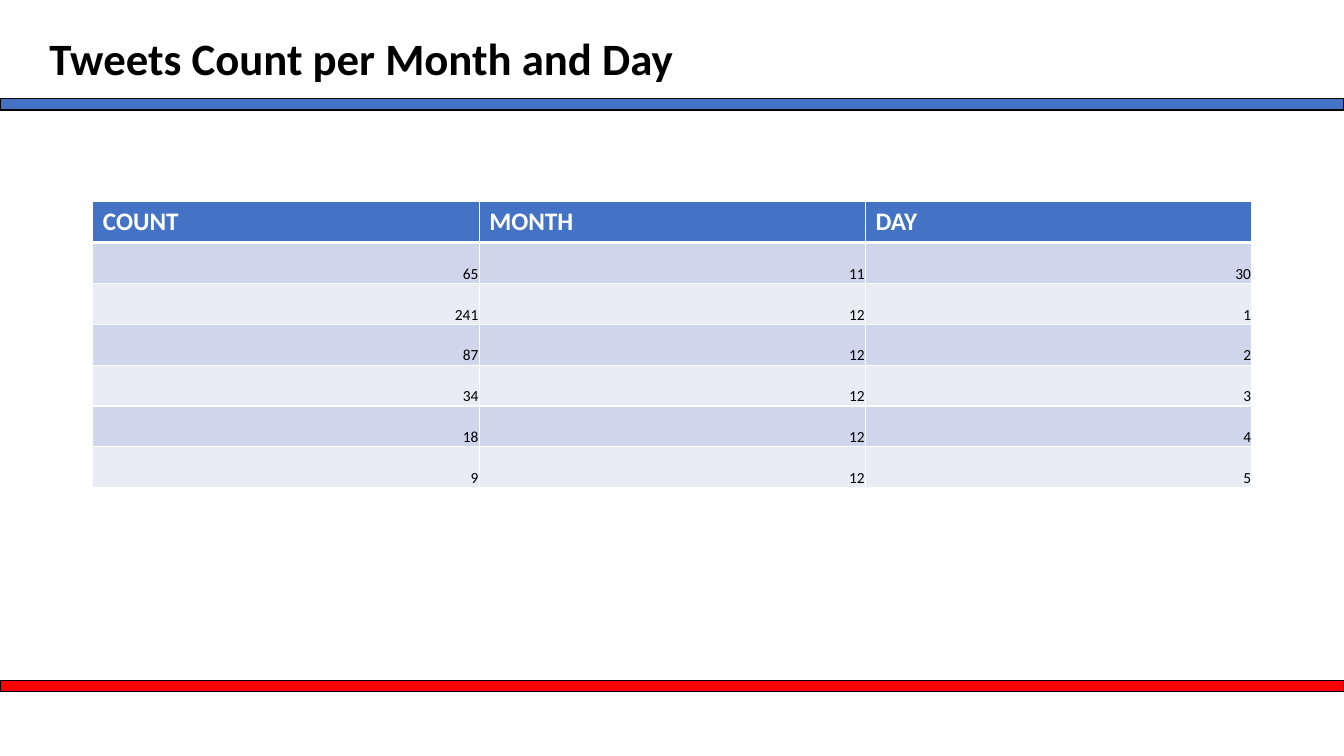
"""Build a slide with a table of tweet counts per month and day."""
import pptx
import pptx.dml.color
import pptx.enum.shapes
import pptx.enum.text
import pptx.oxml.ns
import pptx.util
from lxml import etree
from pptx.util import Cm, Pt

TITLE = "Tweets Count per Month and Day"
HEADERS = ["COUNT", "MONTH", "DAY"]
COUNTS = [
    (65, 11, 30),
    (241, 12, 1),
    (87, 12, 2),
    (34, 12, 3),
    (18, 12, 4),
    (9, 12, 5),
]
BARS = [(2.49, "4472C4"), (17.15, "FF0000")]
HEADER_FILL = "4472C4"
BAND_FILLS = ["CFD5EA", "E9EBF5"]
FONT = "Calibri"
SLIDE_WIDTH, SLIDE_HEIGHT = Cm(33.87), Cm(19.05)
TABLE_WIDTH, ROW_HEIGHT = 29.21, 1.03


def color(value):
    return pptx.dml.color.RGBColor.from_string(value)


def format_text(text_frame, size, bold, font_color, alignment):
    for paragraph in text_frame.paragraphs:
        paragraph.alignment = alignment
        for run in paragraph.runs:
            run.font.name = FONT
            run.font.size = Pt(size)
            run.font.bold = bold
            run.font.color.rgb = color(font_color)


def add_borders(cell, bottom_width):
    properties = cell._tc.get_or_add_tcPr()
    for side, width in (("L", 1), ("R", 1), ("T", 1), ("B", bottom_width)):
        line = etree.SubElement(properties, pptx.oxml.ns.qn(f"a:ln{side}"), w=str(Pt(width)))
        fill = etree.SubElement(line, pptx.oxml.ns.qn("a:solidFill"))
        etree.SubElement(fill, pptx.oxml.ns.qn("a:srgbClr"), val="FFFFFF")


def fill_cell(cell, text, fill, is_header, bottom_width):
    cell.text_frame.text = str(text)
    add_borders(cell, bottom_width)
    cell.fill.solid()
    cell.fill.fore_color.rgb = color(fill)
    if is_header:
        format_text(cell.text_frame, 18, True, "FFFFFF", pptx.enum.text.PP_ALIGN.LEFT)
    else:
        cell.margin_left = cell.margin_right = cell.margin_top = Cm(0.02)
        cell.margin_bottom = 0
        cell.vertical_anchor = pptx.enum.text.MSO_ANCHOR.BOTTOM
        format_text(cell.text_frame, 11, False, "000000", pptx.enum.text.PP_ALIGN.RIGHT)


def add_title(slide):
    title = slide.shapes.title
    title.left, title.top, title.width, title.height = Cm(0.99), Cm(-0.3), Cm(29.21), Cm(3.68)
    title.text_frame.text = TITLE
    title.text_frame.vertical_anchor = pptx.enum.text.MSO_ANCHOR.MIDDLE
    title.text_frame.paragraphs[0].line_spacing = 0.9
    format_text(title.text_frame, 32, True, "000000", pptx.enum.text.PP_ALIGN.LEFT)


def add_count_table(slide):
    rows = [HEADERS, *COUNTS]
    table = slide.shapes.add_table(
        len(rows), len(HEADERS), Cm(2.34), Cm(5.08), Cm(TABLE_WIDTH), Cm(ROW_HEIGHT * len(rows))
    ).table
    for column in table.columns:
        column.width = Cm(TABLE_WIDTH / len(HEADERS))
    for row_index, values in enumerate(rows):
        table.rows[row_index].height = Cm(ROW_HEIGHT)
        is_header = row_index == 0
        fill = HEADER_FILL if is_header else BAND_FILLS[(row_index - 1) % 2]
        for column_index, value in enumerate(values):
            cell = table.cell(row_index, column_index)
            fill_cell(cell, value, fill, is_header, 3 if is_header else 1)
            if row_index == 1:
                top = cell._tc.tcPr.find(pptx.oxml.ns.qn("a:lnT"))
                top.set("w", str(Pt(3)))


def add_bar(slide, top, fill):
    bar = slide.shapes.add_shape(
        pptx.enum.shapes.MSO_SHAPE.RECTANGLE, 0, Cm(top), SLIDE_WIDTH, Cm(0.28)
    )
    bar.shadow.inherit = False
    bar.fill.solid()
    bar.fill.fore_color.rgb = color(fill)
    bar.line.color.rgb = color("000000")
    bar.line.width = Pt(1)


def main():
    presentation = pptx.Presentation()
    presentation.slide_width, presentation.slide_height = SLIDE_WIDTH, SLIDE_HEIGHT
    slide = presentation.slides.add_slide(presentation.slide_layouts[5])
    add_title(slide)
    add_count_table(slide)
    for top, fill in BARS:
        add_bar(slide, top, fill)
    presentation.save("out.pptx")


if __name__ == "__main__":
    main()
